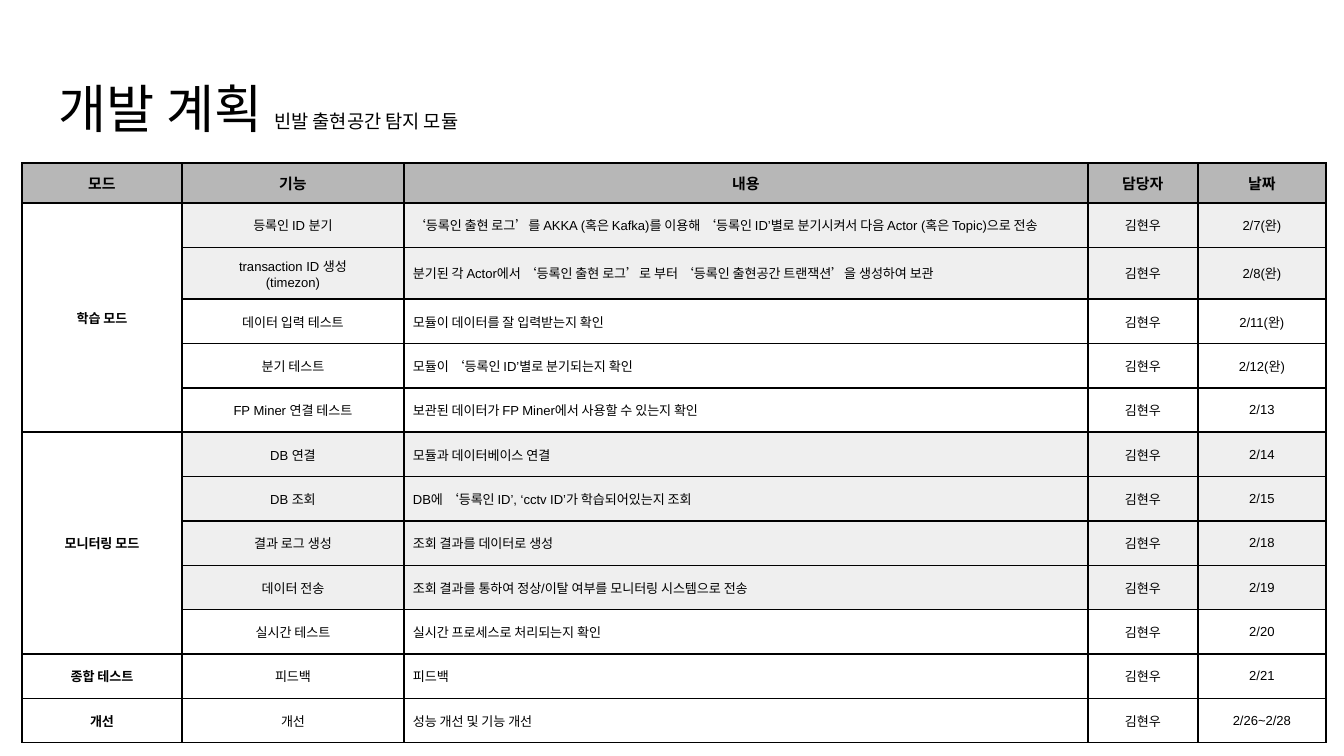
from lxml import etree
from pptx import Presentation
from pptx.dml.color import RGBColor
from pptx.enum.text import MSO_ANCHOR, MSO_AUTO_SIZE, PP_ALIGN
from pptx.oxml.ns import qn
from pptx.util import Emu, Pt

MIDDLE = MSO_ANCHOR.MIDDLE
LEFT, CENTER = PP_ALIGN.LEFT, PP_ALIGN.CENTER
NO_AUTOFIT = MSO_AUTO_SIZE.NONE
TITLE_ONLY = 5
FONT = "Arial"
COLORS = {"text": "000000", "border": "000000", "header": "B7B7B7",
          "shaded": "EFEFEF", "plain": "FFFFFF"}

SCALE = 914400 / 134.4
COLUMN_WIDTHS = (160, 222, 684, 110, 128)
HEADER_HEIGHT, TALL_HEIGHT = 40, 52
TALL_ROW = 2
CONTENT_COLUMN = 2
OWNER = "김현우"
HEADERS = ("모드", "기능", "내용", "담당자", "날짜")

# Each mode holds its tasks: function, content, date, shaded
PLAN = (
    ("학습 모드", (
        ("등록인 ID 분기",
         "‘등록인 출현 로그’를 AKKA (혹은 Kafka)를 이용해 ‘등록인 ID’별로 "
         "분기시켜서 다음 Actor (혹은 Topic)으로 전송", "2/7(완)", True),
        ("transaction ID 생성\n(timezon)",
         "분기된 각 Actor에서 ‘등록인 출현 로그’로 부터 "
         "‘등록인 출현공간 트랜잭션’을 생성하여 보관", "2/8(완)", True),
        ("데이터 입력 테스트", "모듈이 데이터를 잘 입력받는지 확인", "2/11(완)", False),
        ("분기 테스트", "모듈이 ‘등록인 ID’별로 분기되는지 확인", "2/12(완)", False),
        ("FP Miner 연결 테스트", "보관된 데이터가 FP Miner에서 사용할 수 있는지 확인",
         "2/13", False),
    )),
    ("모니터링 모드", (
        ("DB 연결", "모듈과 데이터베이스 연결", "2/14", True),
        ("DB 조회", "DB에 ‘등록인 ID’, ‘cctv ID’가 학습되어있는지 조회", "2/15", True),
        ("결과 로그 생성", "조회 결과를 데이터로 생성", "2/18", True),
        ("데이터 전송", "조회 결과를 통하여 정상/이탈 여부를 모니터링 시스템으로 전송",
         "2/19", True),
        ("실시간 테스트", "실시간 프로세스로 처리되는지 확인", "2/20", False),
    )),
    ("종합 테스트", (("피드백", "피드백", "2/21", False),)),
    ("개선", (("개선", "성능 개선 및 기능 개선", "2/26~2/28", False),)),
)


def px(length):
    """Turn pixels into EMU."""
    return Emu(round(length * SCALE))


def format_run(run, size, bold=False):
    """Give a run its font, size, weight and colour."""
    run.font.name = FONT
    run.font.size = Pt(size)
    run.font.bold = bold
    run.font.color.rgb = RGBColor.from_string(COLORS["text"])


def set_margins(holder, margin):
    """Set the same inner margin on all four sides."""
    holder.margin_left = holder.margin_right = px(margin)
    holder.margin_top = holder.margin_bottom = px(margin)


def add_borders(cell):
    """Draw a one-point line on every side of a cell."""
    properties = cell._tc.get_or_add_tcPr()
    for position, side in enumerate(("a:lnL", "a:lnR", "a:lnT", "a:lnB")):
        line = etree.Element(qn(side), w=str(Pt(1)))
        fill = etree.SubElement(line, qn("a:solidFill"))
        etree.SubElement(fill, qn("a:srgbClr"), val=COLORS["border"])
        properties.insert(position, line)


def fill_cell(cell, text, fill, size=7, bold=False, alignment=CENTER):
    """Write and format one table cell."""
    cell.text = text
    cell.vertical_anchor = MIDDLE
    set_margins(cell, 9)
    cell.fill.solid()
    cell.fill.fore_color.rgb = RGBColor.from_string(COLORS[fill])
    for paragraph in cell.text_frame.paragraphs:
        paragraph.alignment = alignment
        for run in paragraph.runs:
            format_run(run, size, bold)
    add_borders(cell)


def add_title(slide, left, top, width, height):
    """Place the title with its smaller subtitle on the same line."""
    title = slide.shapes.title
    title.left, title.top = px(left), px(top)
    title.width, title.height = px(width), px(height)
    frame = title.text_frame
    frame.auto_size = NO_AUTOFIT
    frame.word_wrap = True
    frame.vertical_anchor = MIDDLE
    set_margins(frame, 13)
    paragraph = frame.paragraphs[0]
    paragraph.alignment = LEFT
    for text, size in (("개발 계획 ", 28), ("빈발 출현공간 탐지 모듈", 10)):
        run = paragraph.add_run()
        run.text = text
        format_run(run, size)


def add_plan_table(slide, left, top, width, height):
    """Place the schedule table, with one merged mode cell per group."""
    row_count = 1 + sum(len(tasks) for _, tasks in PLAN)
    table = slide.shapes.add_table(row_count, len(HEADERS), px(left), px(top),
                                   px(width), px(height)).table
    for column, column_width in zip(table.columns, COLUMN_WIDTHS):
        column.width = px(column_width)
    row_height = (height - HEADER_HEIGHT - TALL_HEIGHT) / (row_count - 2)
    special_heights = {0: HEADER_HEIGHT, TALL_ROW: TALL_HEIGHT}
    for index, row in enumerate(table.rows):
        row.height = px(special_heights.get(index, row_height))

    for column, header in enumerate(HEADERS):
        fill_cell(table.cell(0, column), header, "header", size=8, bold=True)
    row = 1
    for mode, tasks in PLAN:
        first, last = row, row + len(tasks) - 1
        for function, content, date, shaded in tasks:
            fill_cell(table.cell(row, 0), mode if row == first else "",
                      "plain", bold=True)
            for column, text in enumerate((function, content, OWNER, date), 1):
                fill_cell(table.cell(row, column), text,
                          "shaded" if shaded else "plain",
                          alignment=LEFT if column == CONTENT_COLUMN else CENTER)
            row += 1
        if last > first:
            table.cell(first, 0).merge(table.cell(last, 0))


presentation = Presentation()
presentation.slide_width, presentation.slide_height = px(1344), px(756)
plan_slide = presentation.slides.add_slide(presentation.slide_layouts[TITLE_ONLY])
add_title(plan_slide, 46, 66, 1252, 84)
add_plan_table(plan_slide, 22, 163, sum(COLUMN_WIDTHS), 580)
presentation.save("out.pptx")
